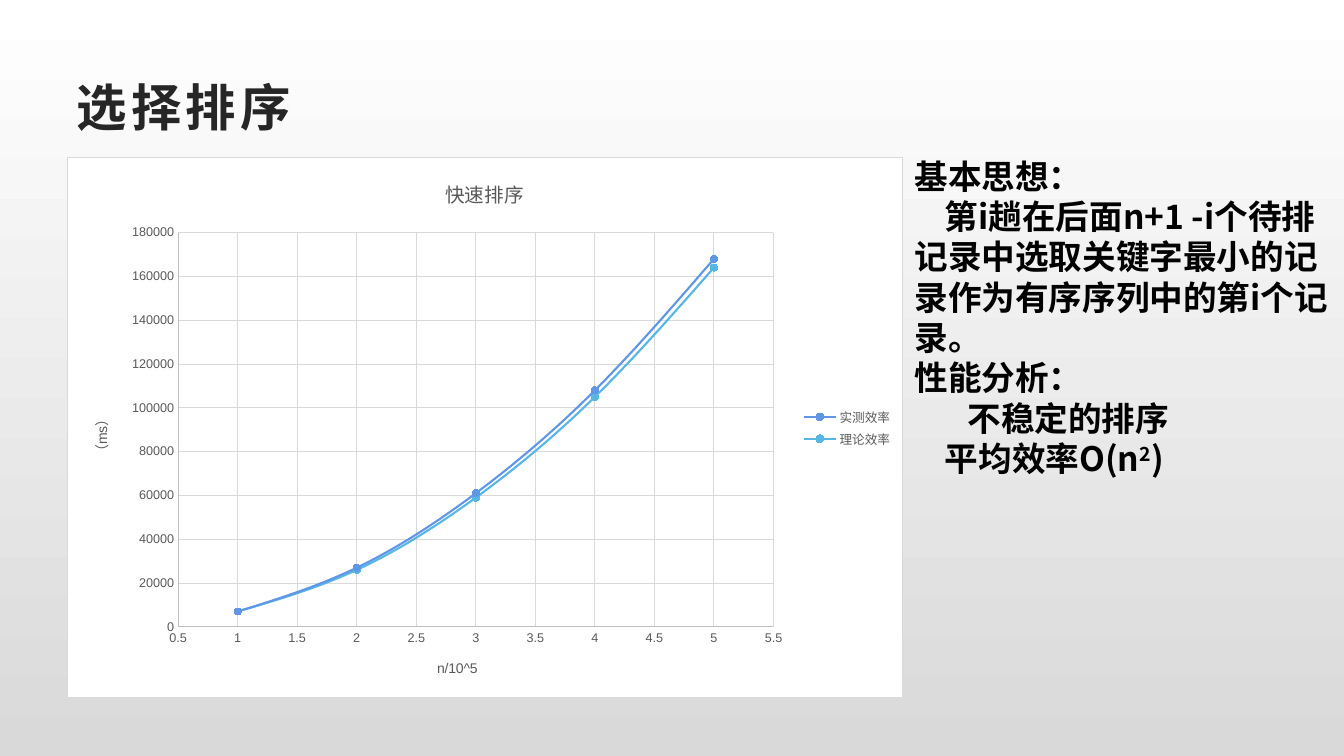
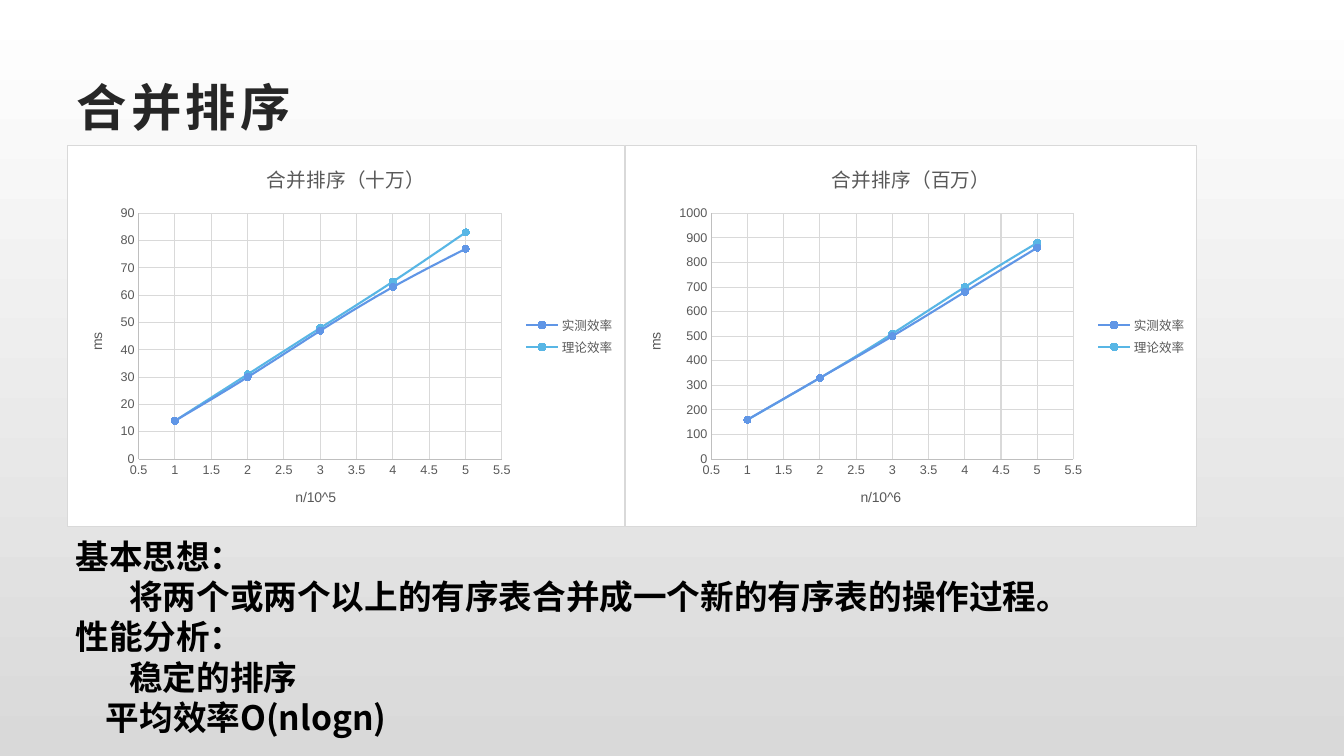
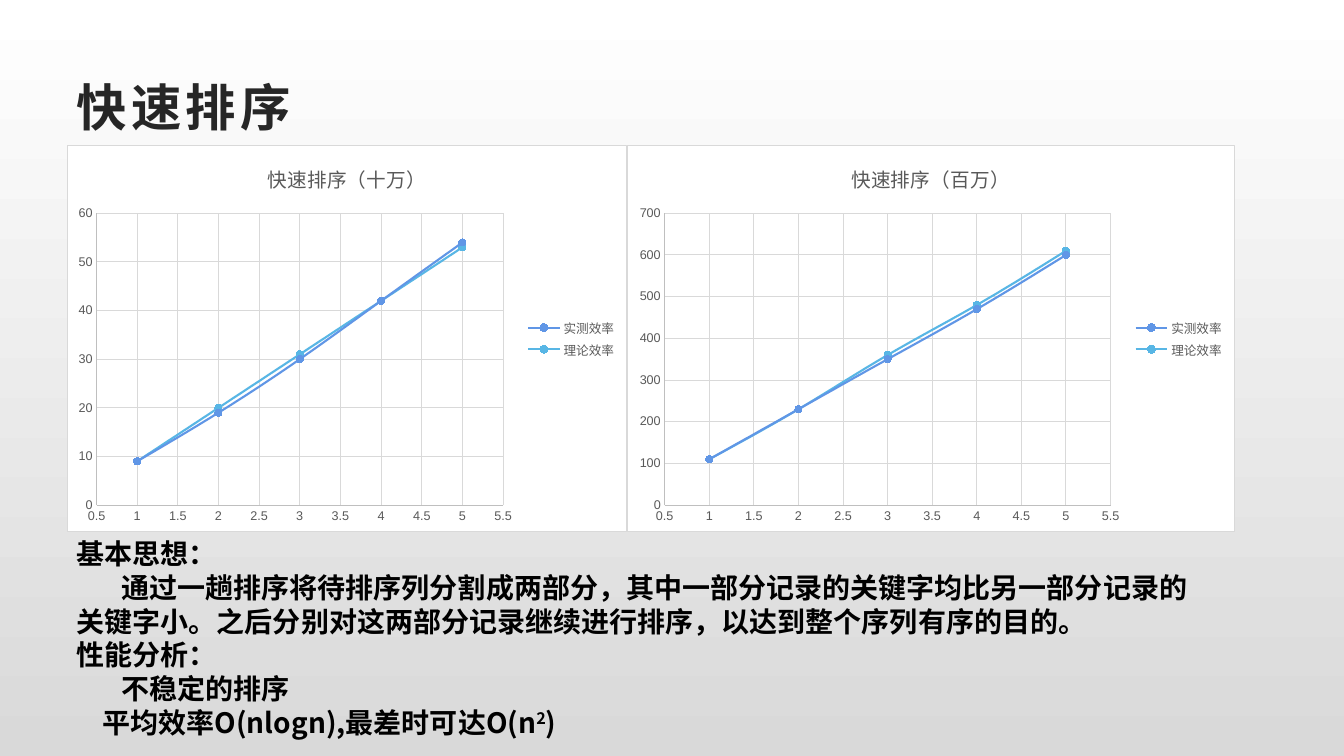
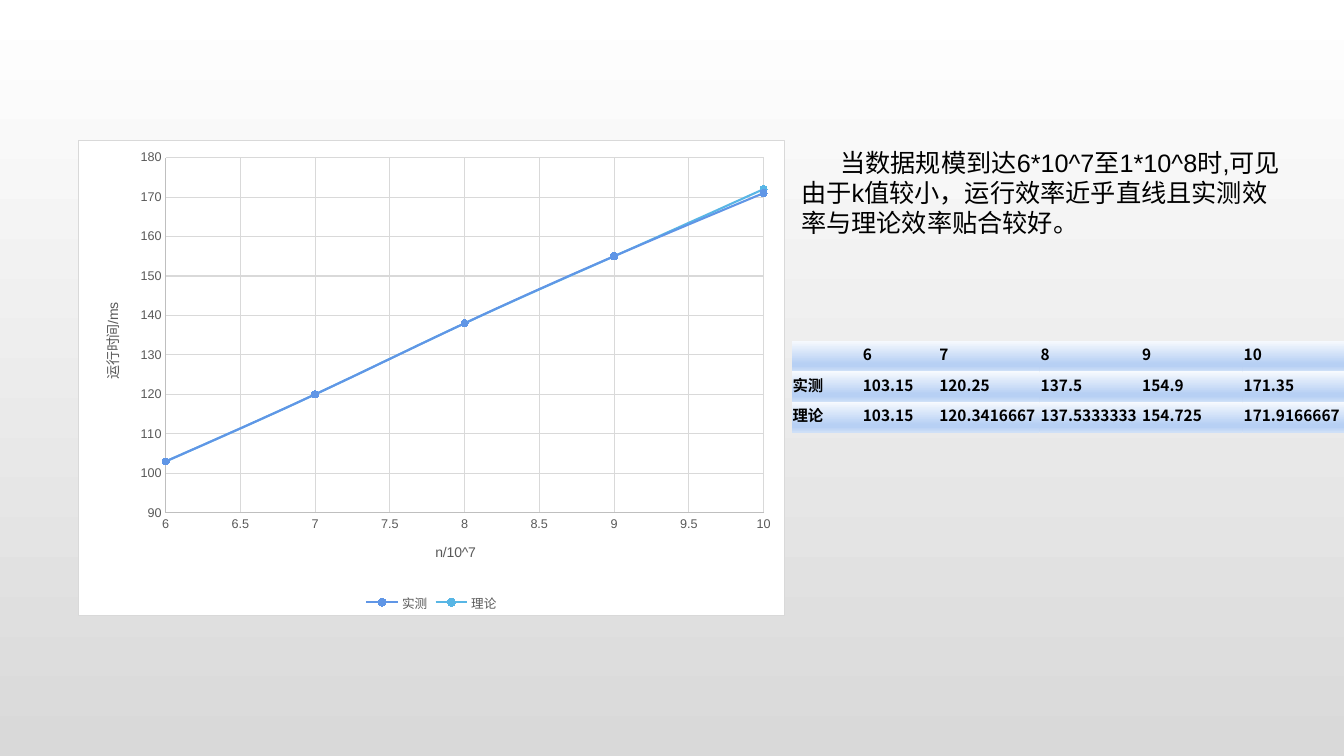
from lxml.etree import SubElement
from pptx import Presentation
from pptx.chart.data import XyChartData
from pptx.dml.color import RGBColor
from pptx.enum.chart import XL_CHART_TYPE, XL_LEGEND_POSITION, XL_MARKER_STYLE, XL_TICK_MARK
from pptx.enum.text import MSO_ANCHOR, MSO_AUTO_SIZE, PP_ALIGN
from pptx.oxml import parse_xml
from pptx.oxml.ns import nsdecls, qn
from pptx.util import Pt

BLACK = RGBColor(0x00, 0x00, 0x00)
WHITE = RGBColor(0xFF, 0xFF, 0xFF)
INK = RGBColor(0x26, 0x26, 0x26)
GREY = RGBColor(0x59, 0x59, 0x59)
AXIS = RGBColor(0xBF, 0xBF, 0xBF)
GRID = RGBColor(0xD9, 0xD9, 0xD9)
BLUE = RGBColor(0x60, 0x96, 0xE6)
SKY = RGBColor(0x58, 0xB6, 0xE5)
ICE = RGBColor(0xF7, 0xFA, 0xFE)
MIST = RGBColor(0xB7, 0xD0, 0xF4)
HAZE = RGBColor(0xCF, 0xE0, 0xF7)

LATIN = "Arial"
CJK = "Noto Sans CJK SC"
PAGE_STOPS = [(0, WHITE), (100, GRID)]
CELL_STOPS = [(0, ICE), (74, MIST), (83, MIST), (100, HAZE)]
NO_STYLE = "{2D5ABB26-0587-4C30-8999-92F81FD0307C}"
EFFICIENCY = ("实测效率", "理论效率")
ONE_TO_FIVE = (1, 2, 3, 4, 5)
HALF_STEPS = (0.5, 5.5, 0.5)

RUN_TIMES = [
    ("", "6", "7", "8", "9", "10"),
    ("实测", "103.15", "120.25", "137.5", "154.9", "171.35"),
    ("理论", "103.15", "120.3416667", "137.5333333", "154.725", "171.9166667"),
]


def add_text(p, text, size, color=BLACK, font=CJK, bold=False, spacing=0, baseline=0):
    r = p.add_run()
    r.text = text
    f = r.font
    f.size, f.bold, f.name = Pt(size), bold, font
    f.color.rgb = color
    rPr = r.font._element
    SubElement(rPr, qn("a:ea")).set("typeface", CJK)
    if spacing:
        rPr.set("spc", str(spacing * 100))
    if baseline:
        rPr.set("baseline", str(baseline * 1000))


def set_gradient(fill, element, stops):
    fill.gradient()
    fill.gradient_angle = 270
    gs_list = next(element.iter(qn("a:gsLst")))
    for gs in list(gs_list):
        gs_list.remove(gs)
    for position, color in stops:
        gs = SubElement(gs_list, qn("a:gs"), pos=str(position * 1000))
        SubElement(gs, qn("a:srgbClr"), val=str(color))


def add_title(slide, text):
    sp = slide.shapes.title
    sp.left, sp.top, sp.width, sp.height = Pt(47.6), Pt(48), Pt(864), Pt(55.5)
    tf = sp.text_frame
    tf.vertical_anchor = MSO_ANCHOR.MIDDLE
    p = tf.paragraphs[0]
    p.alignment = PP_ALIGN.LEFT
    add_text(p, text, 36, color=INK, font=LATIN, bold=True, spacing=3)


def add_notes_box(slide, box, paragraphs, size, font=CJK, bold=True):
    sp = slide.shapes.add_textbox(*map(Pt, box))
    tf = sp.text_frame
    tf.word_wrap = True
    tf.auto_size = MSO_AUTO_SIZE.SHAPE_TO_FIT_TEXT
    for i, (indent, text) in enumerate(paragraphs):
        p = tf.add_paragraph() if i else tf.paragraphs[0]
        p._p.get_or_add_pPr().set("indent", str(Pt(indent)))
        face = font if indent else LATIN
        for j, part in enumerate(text.split("²")):
            if j:
                add_text(p, "2", size, font=face, bold=bold, baseline=30)
            add_text(p, part, size, font=face, bold=bold)


def format_axis(axis, scale, title, upright):
    axis.minimum_scale, axis.maximum_scale, axis.major_unit = scale
    axis.major_tick_mark = axis.minor_tick_mark = XL_TICK_MARK.NONE
    axis.has_major_gridlines = True
    for line, color in ((axis.format.line, AXIS), (axis.major_gridlines.format.line, GRID)):
        line.width = Pt(0.75)
        line.color.rgb = color
    f = axis.tick_labels.font
    f.size, f.name = Pt(9), LATIN
    f.color.rgb = GREY
    axis.has_title = bool(title)
    if title:
        tf = axis.axis_title.text_frame
        add_text(tf.paragraphs[0], title, 10, color=GREY, font=LATIN)
        if upright:
            bodyPr = tf._txBody.bodyPr
            bodyPr.set("rot", "-5400000")
            bodyPr.set("vert", "horz")


def set_plot_box(chart, box, plot):
    plot_area = chart._chartSpace.chart.plotArea
    for old in plot_area.findall(qn("c:layout")):
        plot_area.remove(old)
    layout = parse_xml(f'<c:layout {nsdecls("c")}/>')
    plot_area.insert(0, layout)
    manual = SubElement(layout, qn("c:manualLayout"))
    fractions = [part / whole for part, whole in zip(plot, box[2:] * 2)]
    values = ["inner", "edge", "edge", *fractions]
    for tag, value in zip(("layoutTarget", "xMode", "yMode", "x", "y", "w", "h"), values):
        SubElement(manual, qn(f"c:{tag}"), val=str(value))


def set_chart_frame(chart):
    frame = parse_xml(
        f'<c:spPr {nsdecls("c", "a")}><a:solidFill><a:srgbClr val="{WHITE}"/></a:solidFill>'
        f'<a:ln w="{Pt(0.75)}"><a:solidFill><a:srgbClr val="{GRID}"/></a:solidFill></a:ln></c:spPr>')
    chart._chartSpace.find(qn("c:txPr")).addprevious(frame)


def add_scatter(slide, box, plot, series, y_scale, names=EFFICIENCY, xs=ONE_TO_FIVE,
                x_scale=HALF_STEPS, title="", x_title="", y_title="",
                legend=XL_LEGEND_POSITION.RIGHT):
    data = XyChartData()
    for name, values in zip(names, series):
        s = data.add_series(name)
        for x, y in zip(xs, values):
            s.add_data_point(x, y)
    chart = slide.shapes.add_chart(XL_CHART_TYPE.XY_SCATTER_SMOOTH, *map(Pt, box), data).chart
    chart.font.size, chart.font.name = Pt(10), LATIN
    set_chart_frame(chart)
    chart.has_title = bool(title)
    if title:
        add_text(chart.chart_title.text_frame.paragraphs[0], title, 14, color=GREY, font=LATIN)
    chart.has_legend = True
    chart.legend.position = legend
    chart.legend.include_in_layout = False
    f = chart.legend.font
    f.size, f.name = Pt(9), LATIN
    f.color.rgb = GREY
    format_axis(chart.category_axis, x_scale, x_title, False)
    format_axis(chart.value_axis, y_scale, y_title, True)
    set_plot_box(chart, box, plot)
    chart.plots[0].vary_by_categories = False
    for s, color in zip(chart.plots[0].series, (BLUE, SKY)):
        s.format.line.width = Pt(1.5)
        s.format.line.color.rgb = color
        s.marker.style, s.marker.size = XL_MARKER_STYLE.CIRCLE, 5
        s.marker.format.fill.solid()
        s.marker.format.fill.fore_color.rgb = color
        s.marker.format.line.color.rgb = color
        for smooth in s._element.iter(qn("c:smooth")):
            smooth.set("val", "1")


def add_run_times(slide, left, top):
    widths = [50.2, 54.6] + [72.5] * 4
    row_height = 21.8
    box = (left, top, sum(widths), row_height * len(RUN_TIMES))
    table = slide.shapes.add_table(len(RUN_TIMES), len(widths), *map(Pt, box)).table
    table.first_row = table.horz_banding = False
    table._tbl.tblPr.find(qn("a:tableStyleId")).text = NO_STYLE
    for column, width in zip(table.columns, widths):
        column.width = Pt(width)
    for row, texts in zip(table.rows, RUN_TIMES):
        row.height = Pt(row_height)
        for cell, text in zip(row.cells, texts):
            cell.margin_left = cell.margin_right = cell.margin_top = Pt(0.75)
            cell.margin_bottom = Pt(3.6)
            cell.vertical_anchor = MSO_ANCHOR.MIDDLE
            set_gradient(cell.fill, cell._tc, CELL_STOPS)
            p = cell.text_frame.paragraphs[0]
            if text:
                add_text(p, text, 11, bold=True)
            else:
                SubElement(p._p, qn("a:endParaRPr"), sz="1100")


def selection_slide(prs):
    slide = prs.slides.add_slide(prs.slide_layouts[5])
    add_title(slide, "选择排序")
    add_scatter(
        slide, (47.8, 112.3, 597.2, 386.6), (79.2, 53.6, 425.8, 282.2),
        [(7000, 27000, 61000, 108000, 168000), (7000, 26000, 59000, 105000, 164000)],
        (0, 180000, 20000), title="快速排序", x_title="n/10^5", y_title="（ms）")
    add_notes_box(slide, (646.2, 107.6, 309.6, 239.8), [
        (0, "基本思想："),
        (21.7, "第i趟在后面n+1 -i个待排记录中选取关键字最小的记录作为有序序列中的第i个记录。"),
        (0, "性能分析："),
        (37.8, "不稳定的排序"),
        (21.7, "平均效率O(n²)"),
    ], 24)


def two_chart_slide(prs, title, charts, height, widths, notes_box, notes, size, y_title=""):
    slide = prs.slides.add_slide(prs.slide_layouts[5])
    add_title(slide, title)
    left = 48
    for width, (scale, x_title, plot, y_scale, series) in zip(widths, charts):
        add_scatter(slide, (left, 103.7, width, height), plot, series, y_scale,
                    title=f"{title}（{scale}）", x_title=x_title, y_title=y_title)
        left += width
    add_notes_box(slide, notes_box, notes, size)


def merge_slide(prs):
    two_chart_slide(prs, "合并排序", [
        ("十万", "n/10^5", (50.8, 48.5, 260, 176), (0, 90, 10),
         [(14, 30, 47, 63, 77), (14, 31, 48, 65, 83)]),
        ("百万", "n/10^6", (61.2, 48.5, 259.2, 176), (0, 1000, 100),
         [(160, 330, 500, 680, 860), (160, 330, 510, 700, 880)]),
    ], 272.6, (398.6, 408.6), (46.8, 379, 810, 152.6), [
        (0, "基本思想："),
        (38.4, "将两个或两个以上的有序表合并成一个新的有序表的操作过程。"),
        (0, "性能分析："),
        (38.4, "稳定的排序"),
        (21.8, "平均效率O(nlogn)"),
    ], 24, y_title="ms")


def quick_slide(prs):
    two_chart_slide(prs, "快速排序", [
        ("十万", "", (20.6, 48.5, 291, 209), (0, 60, 10),
         [(9, 19, 30, 42, 54), (9, 20, 31, 42, 53)]),
        ("百万", "", (26.6, 48.5, 319, 209), (0, 700, 100),
         [(110, 230, 350, 470, 600), (110, 230, 360, 480, 610)]),
    ], 276.2, (399.9, 434), (47.7, 380, 823, 152.6), [
        (0, "基本思想："),
        (32, "通过一趟排序将待排序列分割成两部分，其中一部分记录的关键字均比另一部分记录的"
             "关键字小。之后分别对这两部分记录继续进行排序，以达到整个序列有序的目的。"),
        (0, "性能分析："),
        (32, "不稳定的排序"),
        (18.5, "平均效率O(nlogn),最差时可达O(n²)"),
    ], 20)


def large_scale_slide(prs):
    slide = prs.slides.add_slide(prs.slide_layouts[6])
    xs, *series = [[round(float(text)) for text in row[1:]] for row in RUN_TIMES]
    add_scatter(
        slide, (55.6, 100.1, 505.2, 339.8), (62.4, 12.2, 427.8, 254.3), series, (90, 180, 10),
        names=[row[0] for row in RUN_TIMES[1:]], xs=xs, x_scale=(6, 10, 0.5),
        x_title="n/10^7", y_title="运行时间/ms", legend=XL_LEGEND_POSITION.BOTTOM)
    add_notes_box(slide, (565.2, 101.5, 365, 72.7), [
        (28, "当数据规模到达6*10^7至1*10^8时,可见由于k值较小，"
             "运行效率近乎直线且实测效率与理论效率贴合较好。"),
    ], 18, font=LATIN, bold=False)
    add_run_times(slide, 565.4, 243.4)


def main():
    prs = Presentation()
    prs.slide_width, prs.slide_height = Pt(960), Pt(540)
    master = prs.slide_master
    set_gradient(master.background.fill, master.element, PAGE_STOPS)
    selection_slide(prs)
    merge_slide(prs)
    quick_slide(prs)
    large_scale_slide(prs)
    prs.save("out.pptx")


if __name__ == "__main__":
    main()
